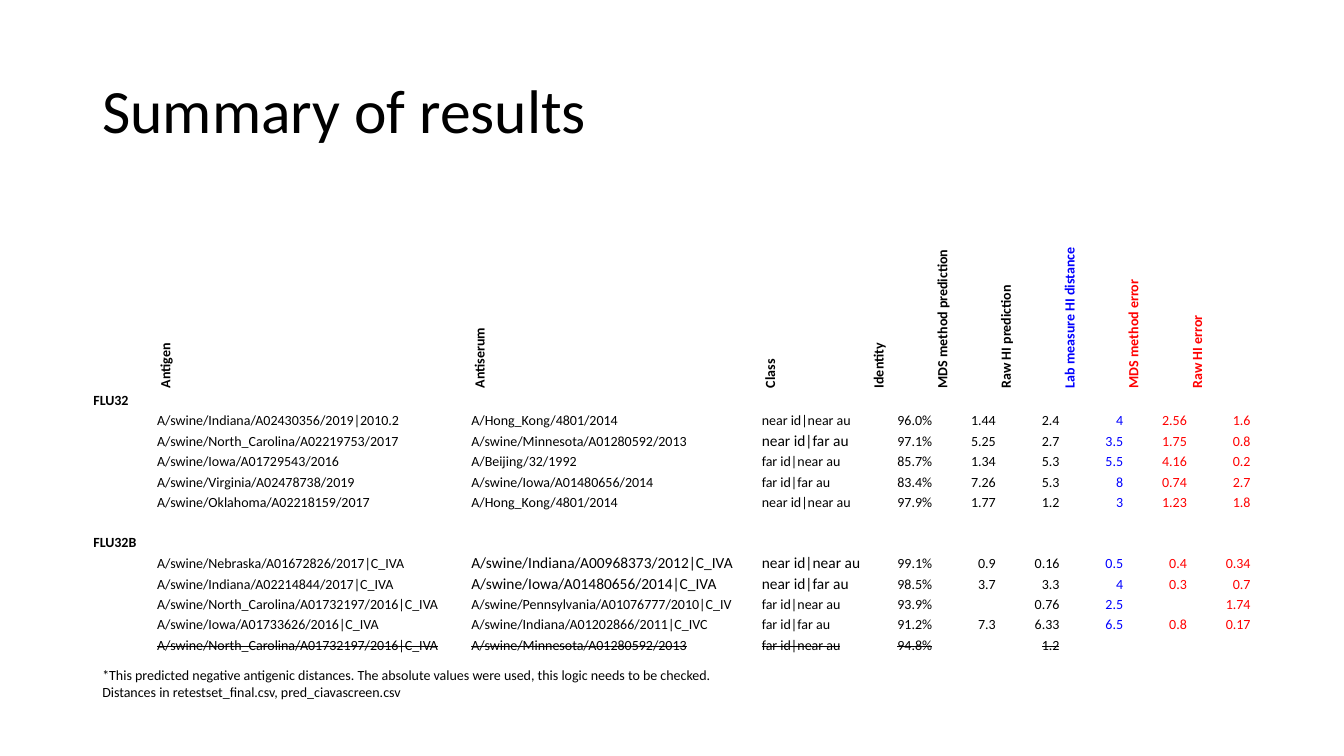
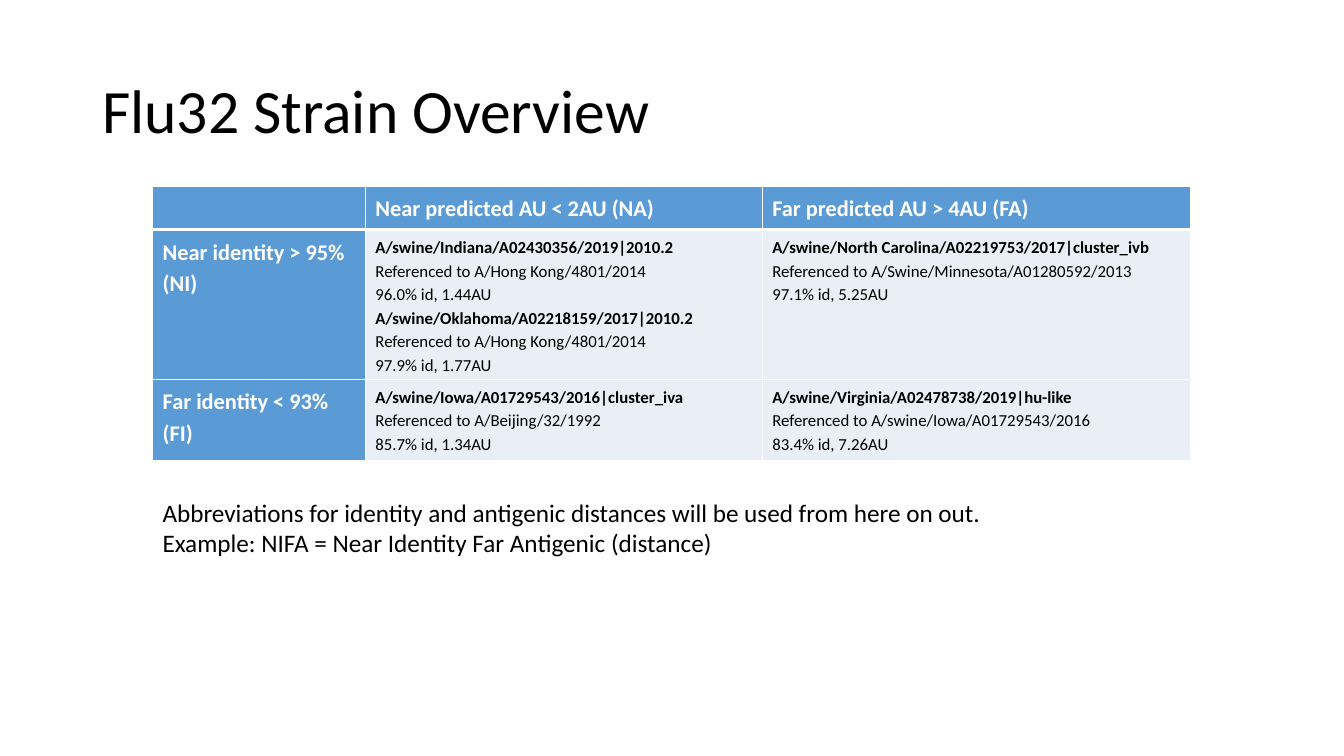
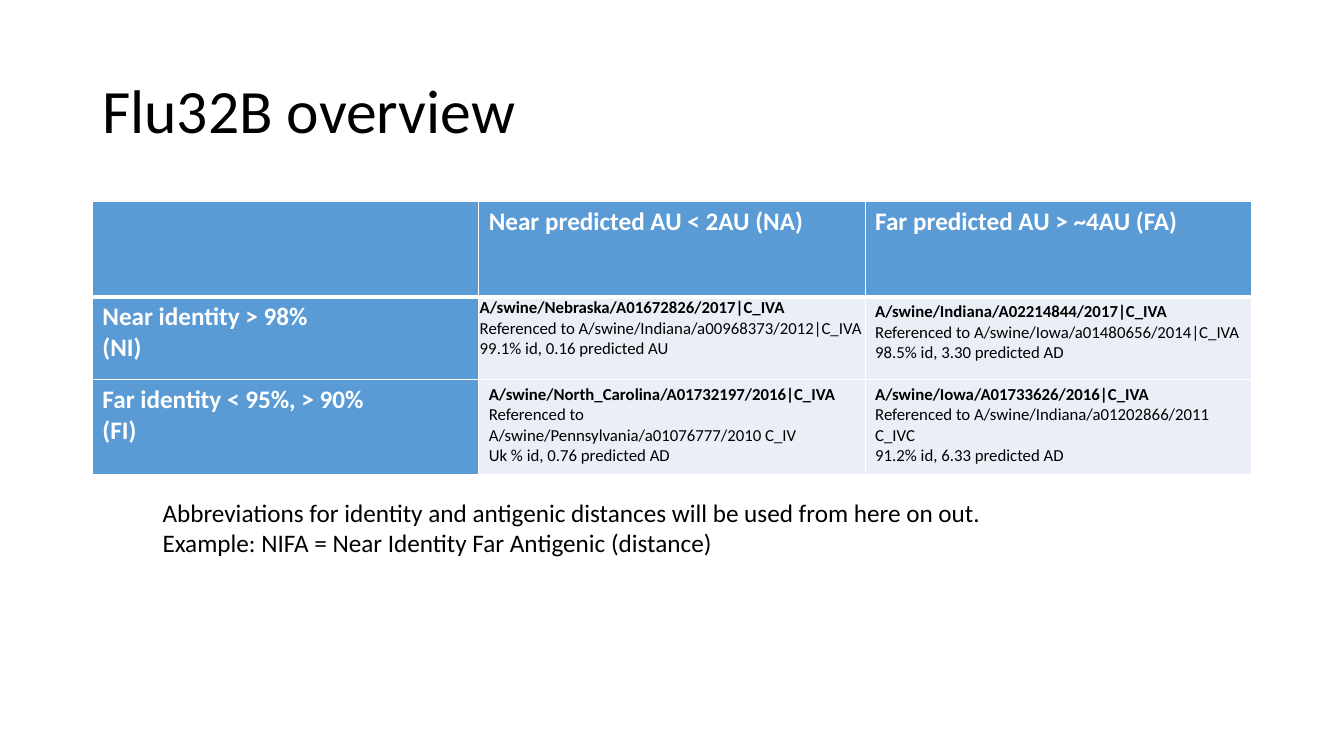
"""Build three slides on the influenza strain prediction results."""
from dataclasses import dataclass

from pptx import Presentation
from pptx.dml.color import RGBColor
from pptx.enum.text import MSO_ANCHOR, PP_ALIGN
from pptx.oxml.ns import qn
from pptx.util import Pt
from lxml import etree

TOP, MIDDLE, BOTTOM = MSO_ANCHOR.TOP, MSO_ANCHOR.MIDDLE, MSO_ANCHOR.BOTTOM
LEFT, RIGHT = PP_ALIGN.LEFT, PP_ALIGN.RIGHT

FONT = "Calibri"
BLACK, WHITE, BLUE, RED = "000000", "FFFFFF", "0000FF", "FF0000"
HEADER_FILL, BODY_FILL = "5B9BD5", "EAEFF7"

MARGIN, CONTENT_WIDTH = 66, 828
WIDE_INSETS = (7.2, 3.6, 7.2, 3.6)
TIGHT_INSETS = (0.72, 0.72, 0.72, 0)
NUMBER_WIDTH = 45.5
RESULT_WIDTHS = (NUMBER_WIDTH, 224.5, 207.5, 77.5) + (NUMBER_WIDTH,) * 6
RESULT_HEADER_HEIGHT, ROW_HEIGHT, LARGE_ROW_HEIGHT = 113, 14.4, 15
FIRST_NUMBER_COLUMN = 4


@dataclass(frozen=True)
class Style:
    size: float
    color: str = BLACK
    bold: bool = False
    struck: bool = False


@dataclass(frozen=True)
class Heading:
    text: str
    color: str = BLACK


@dataclass(frozen=True)
class Result:
    antigen: str
    antiserum: str
    category: str
    numbers: tuple[str, ...]
    large_columns: tuple[int, ...] = ()
    struck: bool = False


@dataclass(frozen=True)
class Strain:
    name: str
    reference: str
    distance: str


@dataclass(frozen=True)
class IdentityRow:
    label: str
    abbreviation: str
    near: tuple[Strain, ...]
    far: tuple[Strain, ...]


@dataclass(frozen=True)
class Overview:
    title: str
    left: float
    top: float
    widths: tuple[float, ...]
    heights: tuple[float, ...]
    label_size: float
    line_spacing: float
    headings: tuple[str, str]
    rows: tuple[IdentityRow, ...]
    tight_cell: tuple[int, int] | None = None


HEADINGS = (
    Heading("Antigen"),
    Heading("Antiserum"),
    Heading("Class"),
    Heading("Identity"),
    Heading("MDS method prediction"),
    Heading("Raw HI prediction"),
    Heading("Lab measure HI distance", BLUE),
    Heading("MDS method error", RED),
    Heading("Raw HI error", RED),
)

RESULT_ROWS: tuple[str | Result, ...] = (
    "FLU32",
    Result("A/swine/Indiana/A02430356/2019|2010.2", "A/Hong_Kong/4801/2014", "near id|near au",
           ("96.0%", "1.44", "2.4", "4", "2.56", "1.6")),
    Result("A/swine/North_Carolina/A02219753/2017", "A/swine/Minnesota/A01280592/2013", "near id|far au",
           ("97.1%", "5.25", "2.7", "3.5", "1.75", "0.8"), large_columns=(3,)),
    Result("A/swine/Iowa/A01729543/2016", "A/Beijing/32/1992", "far id|near au",
           ("85.7%", "1.34", "5.3", "5.5", "4.16", "0.2")),
    Result("A/swine/Virginia/A02478738/2019", "A/swine/Iowa/A01480656/2014", "far id|far au",
           ("83.4%", "7.26", "5.3", "8", "0.74", "2.7")),
    Result("A/swine/Oklahoma/A02218159/2017", "A/Hong_Kong/4801/2014", "near id|near au",
           ("97.9%", "1.77", "1.2", "3", "1.23", "1.8")),
    "",
    "FLU32B",
    Result("A/swine/Nebraska/A01672826/2017|C_IVA", "A/swine/Indiana/A00968373/2012|C_IVA", "near id|near au",
           ("99.1%", "0.9", "0.16", "0.5", "0.4", "0.34"), large_columns=(2, 3)),
    Result("A/swine/Indiana/A02214844/2017|C_IVA", "A/swine/Iowa/A01480656/2014|C_IVA", "near id|far au",
           ("98.5%", "3.7", "3.3", "4", "0.3", "0.7"), large_columns=(2, 3)),
    Result("A/swine/North_Carolina/A01732197/2016|C_IVA", "A/swine/Pennsylvania/A01076777/2010|C_IV",
           "far id|near au", ("93.9%", "", "0.76", "2.5", "", "1.74")),
    Result("A/swine/Iowa/A01733626/2016|C_IVA", "A/swine/Indiana/A01202866/2011|C_IVC", "far id|far au",
           ("91.2%", "7.3", "6.33", "6.5", "0.8", "0.17")),
    Result("A/swine/North_Carolina/A01732197/2016|C_IVA", "A/swine/Minnesota/A01280592/2013",
           "far id|near au", ("94.8%", "", "1.2", "", "", ""), struck=True),
)

FOOTNOTE = (
    "*This predicted negative antigenic distances. The absolute values were used, this logic needs to be checked.",
    "Distances in retestset_final.csv, pred_ciavascreen.csv",
)
ABBREVIATIONS = (
    "Abbreviations for identity and antigenic distances will be used from here on out.",
    "Example: NIFA = Near Identity Far Antigenic (distance)",
)

OVERVIEWS = (
    Overview(
        "Flu32 Strain Overview", 109, 133, (152, 283.5, 306), (31, 107, 58), 16, 1.15,
        ("Near predicted AU < 2AU (NA)", "Far predicted AU > 4AU (FA)"),
        (
            IdentityRow(
                "Near identity > 95%", "(NI)",
                (Strain("A/swine/Indiana/A02430356/2019|2010.2",
                        "Referenced to A/Hong Kong/4801/2014", "96.0% id, 1.44AU"),
                 Strain("A/swine/Oklahoma/A02218159/2017|2010.2",
                        "Referenced to A/Hong Kong/4801/2014", "97.9% id, 1.77AU")),
                (Strain("A/swine/North Carolina/A02219753/2017|cluster_ivb",
                        "Referenced to A/Swine/Minnesota/A01280592/2013", "97.1% id, 5.25AU"),)),
            IdentityRow(
                "Far identity < 93%", "(FI)",
                (Strain("A/swine/Iowa/A01729543/2016|cluster_iva",
                        "Referenced to A/Beijing/32/1992", "85.7% id, 1.34AU"),),
                (Strain("A/swine/Virginia/A02478738/2019|hu-like",
                        "Referenced to A/swine/Iowa/A01729543/2016", "83.4% id, 7.26AU"),)),
        )),
    Overview(
        "Flu32B overview", MARGIN, 144, (CONTENT_WIDTH / 3,) * 3, (68, 59, 68), 18, 1,
        ("Near predicted AU < 2AU (NA)", "Far predicted AU > ~4AU (FA)"),
        (
            IdentityRow(
                "Near identity > 98%", "(NI)",
                (Strain("A/swine/Nebraska/A01672826/2017|C_IVA",
                        "Referenced to A/swine/Indiana/a00968373/2012|C_IVA", "99.1% id, 0.16 predicted AU"),),
                (Strain("A/swine/Indiana/A02214844/2017|C_IVA",
                        "Referenced to A/swine/Iowa/a01480656/2014|C_IVA", "98.5% id, 3.30 predicted AD"),)),
            IdentityRow(
                "Far identity < 95%, > 90%", "(FI)",
                (Strain("A/swine/North_Carolina/A01732197/2016|C_IVA",
                        "Referenced to A/swine/Pennsylvania/a01076777/2010 C_IV", "Uk % id, 0.76 predicted AD"),),
                (Strain("A/swine/Iowa/A01733626/2016|C_IVA",
                        "Referenced to A/swine/Indiana/a01202866/2011 C_IVC", "91.2% id, 6.33 predicted AD"),)),
        ),
        tight_cell=(1, 1)),
)


def rgb(color: str) -> RGBColor:
    return RGBColor.from_string(color)


def add_run(paragraph, text: str, style: Style) -> None:
    run = paragraph.add_run()
    run.text = text
    font = run.font
    font.name, font.size, font.bold = FONT, Pt(style.size), style.bold
    font.color.rgb = rgb(style.color)
    if style.struck:
        font._element.set("strike", "sngStrike")


def write(frame, lines: list[tuple[str, Style]], spacing: float = 1, align=LEFT) -> None:
    for index, (text, style) in enumerate(lines):
        paragraph = frame.add_paragraph() if index else frame.paragraphs[0]
        paragraph.alignment, paragraph.line_spacing = align, spacing
        if text:
            add_run(paragraph, text, style)
        else:
            end = etree.SubElement(paragraph._p, qn("a:endParaRPr"))
            end.set("sz", str(int(style.size * 100)))


def add_text_box(slide, left: float, top: float, width: float, height: float, wrap: bool = True):
    frame = slide.shapes.add_textbox(Pt(left), Pt(top), Pt(width), Pt(height)).text_frame
    frame.word_wrap = wrap
    return frame


def add_titled_slide(deck, title: str):
    slide = deck.slides.add_slide(deck.slide_layouts[6])
    frame = add_text_box(slide, MARGIN, 29, CONTENT_WIDTH, 104)
    frame.vertical_anchor = MIDDLE
    write(frame, [(title, Style(44))], 0.9)
    return slide


def add_grid(slide, left: float, top: float, widths: tuple[float, ...], heights: tuple[float, ...]):
    grid = slide.shapes.add_table(len(heights), len(widths), Pt(left), Pt(top),
                                  Pt(sum(widths)), Pt(sum(heights))).table
    grid.first_row = grid.horz_banding = False
    for column, width in zip(grid.columns, widths):
        column.width = Pt(width)
    for row, height in zip(grid.rows, heights):
        row.height = Pt(height)
    return grid


def set_insets(cell, insets: tuple[float, ...]) -> None:
    cell.margin_left, cell.margin_top, cell.margin_right, cell.margin_bottom = map(Pt, insets)


def set_borders(cell, bottom_width: float) -> None:
    properties = cell._tc.get_or_add_tcPr()
    for side, width in (("L", 1), ("R", 1), ("T", 1), ("B", bottom_width)):
        line = etree.SubElement(properties, qn(f"a:ln{side}"), w=str(Pt(width)))
        fill = etree.SubElement(line, qn("a:solidFill"))
        etree.SubElement(fill, qn("a:srgbClr"), val=WHITE)


def fill_result_cell(cell, text: str, style: Style, align=LEFT, anchor=BOTTOM) -> None:
    set_insets(cell, TIGHT_INSETS)
    cell.vertical_anchor = anchor
    cell.fill.background()
    write(cell.text_frame, [(text, style)], align=align)


def result_height(row: str | Result) -> float:
    return LARGE_ROW_HEIGHT if isinstance(row, Result) and row.large_columns else ROW_HEIGHT


def add_results(slide) -> None:
    heights = (RESULT_HEADER_HEIGHT, *map(result_height, RESULT_ROWS))
    grid = add_grid(slide, MARGIN, 165, RESULT_WIDTHS, heights)
    columns = (Heading(""), *HEADINGS)
    for column, heading in enumerate(columns):
        cell = grid.cell(0, column)
        anchor = MIDDLE if column in (1, 2) else BOTTOM
        fill_result_cell(cell, heading.text, Style(10, heading.color, True), anchor=anchor)
        if heading.text:
            cell._tc.get_or_add_tcPr().set("vert", "vert270")
    for index, row in enumerate(RESULT_ROWS, start=1):
        if isinstance(row, Result):
            texts = ("", row.antigen, row.antiserum, row.category, *row.numbers)
            large, struck = row.large_columns, row.struck
        else:
            texts = (row,) + ("",) * (len(columns) - 1)
            large, struck = (), False
        for column, text in enumerate(texts):
            size = 11 if column in large else 10
            style = Style(size, columns[column].color, column == 0, struck)
            align = RIGHT if column >= FIRST_NUMBER_COLUMN else LEFT
            fill_result_cell(grid.cell(index, column), text, style, align)


def strain_lines(strains: tuple[Strain, ...]) -> list[tuple[str, Style]]:
    return [
        line for strain in strains
        for line in ((strain.name, Style(12, bold=True)),
                     (strain.reference, Style(12)),
                     (strain.distance, Style(12)))
    ]


def add_overview(slide, overview: Overview) -> None:
    label = Style(overview.label_size, WHITE, True)
    contents = [[[(text, label)] for text in ("", *overview.headings)]]
    contents += [
        [[(row.label, label), (row.abbreviation, label)], strain_lines(row.near), strain_lines(row.far)]
        for row in overview.rows
    ]
    grid = add_grid(slide, overview.left, overview.top, overview.widths, overview.heights)
    for row, cells in enumerate(contents):
        for column, lines in enumerate(cells):
            cell = grid.cell(row, column)
            set_insets(cell, TIGHT_INSETS if (row, column) == overview.tight_cell else WIDE_INSETS)
            cell.vertical_anchor = TOP
            set_borders(cell, 1 if row else 3)
            cell.fill.solid()
            cell.fill.fore_color.rgb = rgb(BODY_FILL if row and column else HEADER_FILL)
            write(cell.text_frame, lines, overview.line_spacing)


def add_abbreviations(slide) -> None:
    paragraph = add_text_box(slide, 109, 351.5, 735, 51).paragraphs[0]
    for index, line in enumerate(ABBREVIATIONS):
        if index:
            paragraph.add_line_break()
        add_run(paragraph, line, Style(18))


def main() -> None:
    deck = Presentation()
    deck.slide_width, deck.slide_height = Pt(960), Pt(540)

    summary = add_titled_slide(deck, "Summary of results")
    footnote = add_text_box(summary, MARGIN, 472.5, 456.5, 31.5, wrap=False)
    write(footnote, [(line, Style(10)) for line in FOOTNOTE])
    add_results(summary)

    for overview in OVERVIEWS:
        slide = add_titled_slide(deck, overview.title)
        add_overview(slide, overview)
        add_abbreviations(slide)

    deck.save("out.pptx")


if __name__ == "__main__":
    main()
